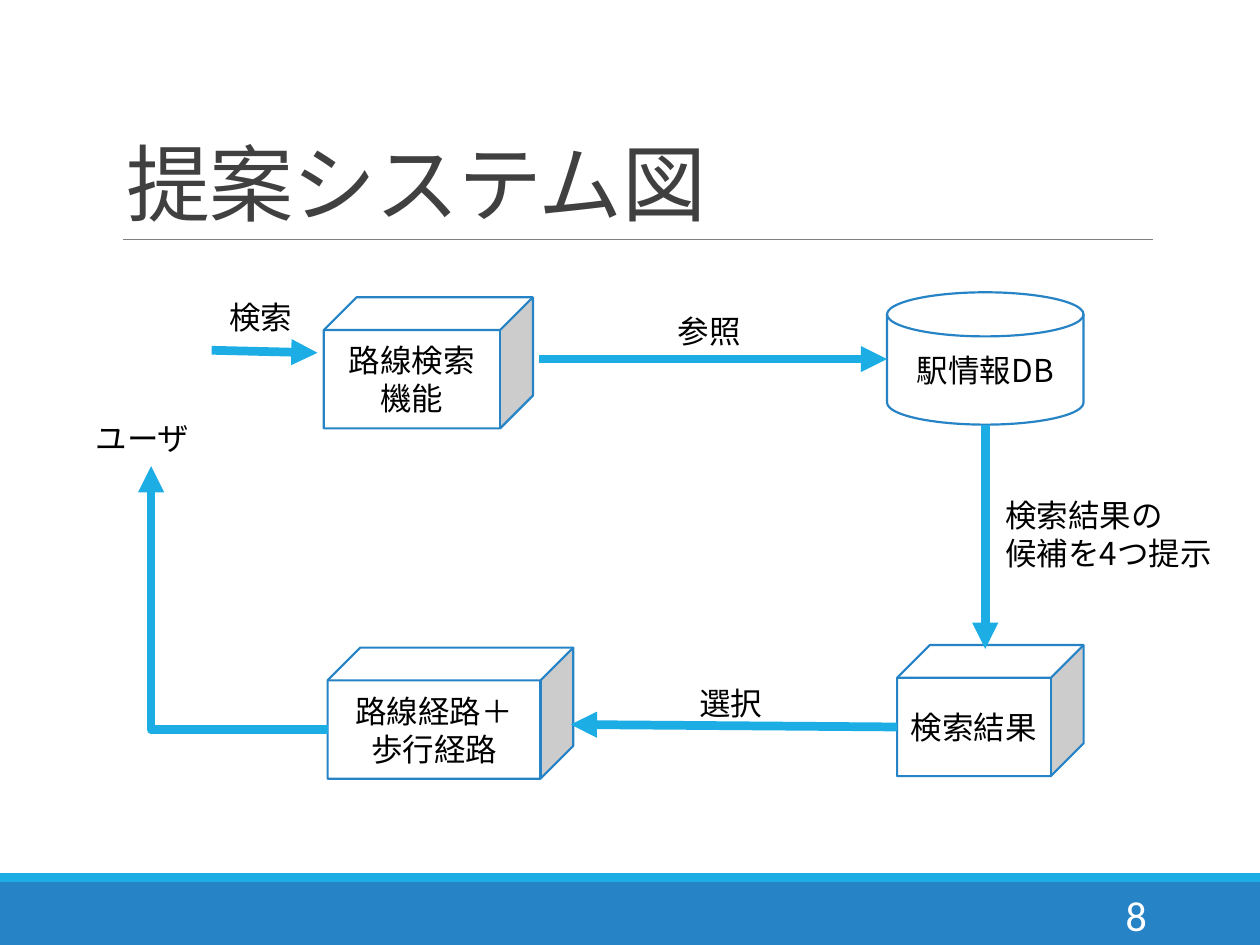
from lxml.etree import SubElement
from pptx import Presentation
from pptx.dml.color import RGBColor
from pptx.enum.shapes import MSO_CONNECTOR, MSO_SHAPE
from pptx.enum.text import MSO_ANCHOR, MSO_AUTO_SIZE, PP_ALIGN
from pptx.oxml.ns import qn
from pptx.util import Inches, Pt

COLORS = {
    "band": "2683C6",
    "accent": "1CADE4",
    "rule": "808080",
    "title": "404040",
    "text": "000000",
    "white": "FFFFFF",
}
JAPANESE = "Noto Sans CJK JP"
LATIN = "Calibri"


def color(name):
    return RGBColor.from_string(COLORS[name])


def add_run(paragraph, text, size=18, font=JAPANESE, fill="text"):
    run = paragraph.add_run()
    run.text = text
    run.font.size = Pt(size)
    run.font.name = font
    run.font.color.rgb = color(fill)
    SubElement(run.font._element, qn("a:ea"), typeface=JAPANESE)
    return run


def add_node(slide, kind, box, text, font=JAPANESE):
    shape = slide.shapes.add_shape(kind, *map(Inches, box))
    shape.shadow.inherit = False
    shape.fill.solid()
    shape.fill.fore_color.rgb = color("white")
    shape.line.color.rgb = color("band")
    shape.line.width = Pt(1.25)
    frame = shape.text_frame
    frame.word_wrap = True
    frame.vertical_anchor = MSO_ANCHOR.MIDDLE
    paragraph = frame.paragraphs[0]
    paragraph.alignment = PP_ALIGN.CENTER
    add_run(paragraph, text, font=font)


def add_label(slide, box, *lines):
    frame = slide.shapes.add_textbox(*map(Inches, box)).text_frame
    frame.word_wrap = True
    frame.auto_size = MSO_AUTO_SIZE.SHAPE_TO_FIT_TEXT
    for index, line in enumerate(lines):
        paragraph = frame.add_paragraph() if index else frame.paragraphs[0]
        add_run(paragraph, line)


def add_line(slide, start, end, stroke, width, kind=MSO_CONNECTOR.STRAIGHT):
    connector = slide.shapes.add_connector(kind, *map(Inches, start + end))
    connector.line.color.rgb = color(stroke)
    connector.line.width = Pt(width)
    SubElement(connector._element.spPr, qn("a:effectLst"))
    return connector


def add_arrow(slide, start, end, kind=MSO_CONNECTOR.STRAIGHT):
    connector = add_line(slide, start, end, "accent", 5, kind)
    SubElement(connector.line._get_or_add_ln(), qn("a:tailEnd"), type="triangle")
    if kind == MSO_CONNECTOR.ELBOW:
        connector._element.spPr.find(qn("a:prstGeom")).set("prst", "bentConnector2")


def add_title(slide, left, top, width, height):
    title = slide.shapes.title
    title.left, title.top = Inches(left), Inches(top)
    title.width, title.height = Inches(width), Inches(height)
    frame = title.text_frame
    frame.word_wrap = True
    frame.auto_size = MSO_AUTO_SIZE.NONE
    frame.vertical_anchor = MSO_ANCHOR.BOTTOM
    paragraph = frame.paragraphs[0]
    paragraph.alignment = PP_ALIGN.LEFT
    paragraph.line_spacing = 0.85
    run = add_run(paragraph, "提案システム図", 48, fill="title")
    run.font._element.set("spc", "-50")
    bottom = top + height
    add_line(slide, (left + 0.08, bottom), (left + width, bottom), "rule", 0.5)


def add_footer(slide, left, top, width, height):
    stripe = 0.07
    bands = (
        (top + stripe, height - stripe, "band"),
        (top, stripe, "accent"),
    )
    for band_top, band_height, fill in bands:
        band = slide.shapes.add_shape(
            MSO_SHAPE.RECTANGLE,
            Inches(left), Inches(band_top), Inches(width), Inches(band_height),
        )
        band.shadow.inherit = False
        band.fill.solid()
        band.fill.fore_color.rgb = color(fill)
        band.line.fill.background()
    number = slide.shapes.add_textbox(
        Inches(left + width - 1.88), Inches(top + 0.13), Inches(1.08), Inches(0.4)
    )
    frame = number.text_frame
    frame.word_wrap = True
    frame.vertical_anchor = MSO_ANCHOR.MIDDLE
    paragraph = frame.paragraphs[0]
    paragraph.alignment = PP_ALIGN.RIGHT
    add_run(paragraph, "8", 24, LATIN, "white")


def add_system_diagram(slide, left, top):
    def place(x, y, *size):
        return (left + x, top + y, *size)

    cube = MSO_SHAPE.CUBE
    disk = MSO_SHAPE.FLOWCHART_MAGNETIC_DISK
    nodes = (
        (cube, place(1.91, 0.04, 1.66, 1.04), "路線検索機能", JAPANESE),
        (cube, place(6.46, 2.8, 1.48, 1.04), "検索結果", LATIN),
        (disk, place(6.38, 0, 1.56, 1.05), "駅情報DB", JAPANESE),
        (cube, place(1.94, 2.82, 1.95, 1.04), "路線経路＋歩行経路", LATIN),
    )
    for kind, box, text, font in nodes:
        add_node(slide, kind, box, text, font)

    arrows = (
        (place(1.02, 0.46), place(1.86, 0.48)),
        (place(3.62, 0.53), place(6.38, 0.53)),
        (place(7.16, 1.05), place(7.16, 2.83)),
        (place(6.46, 3.45), place(3.87, 3.43)),
    )
    for start, end in arrows:
        add_arrow(slide, start, end)
    add_arrow(slide, place(1.94, 3.47), place(0.54, 1.38), MSO_CONNECTOR.ELBOW)

    add_label(slide, place(0, 0.96, 1.02, 0.4), "ユーザ")
    add_label(slide, place(1.06, 0, 1.01, 0.4), "検索")
    add_label(slide, place(4.62, 0.11, 0.71, 0.4), "参照")
    add_label(slide, place(7.22, 1.57, 1.87, 0.71), "検索結果の", "候補を4つ提示")
    add_label(slide, place(4.79, 3.06, 0.75, 0.4), "選択")


def main():
    presentation = Presentation()
    presentation.slide_width = Inches(10)
    presentation.slide_height = Inches(7.5)
    slide = presentation.slides.add_slide(presentation.slide_layouts[5])
    add_footer(slide, 0, 6.93, 10, 0.57)
    add_title(slide, 0.9, 0.31, 8.25, 1.59)
    add_system_diagram(slide, 0.66, 2.32)
    presentation.save("out.pptx")


if __name__ == "__main__":
    main()
